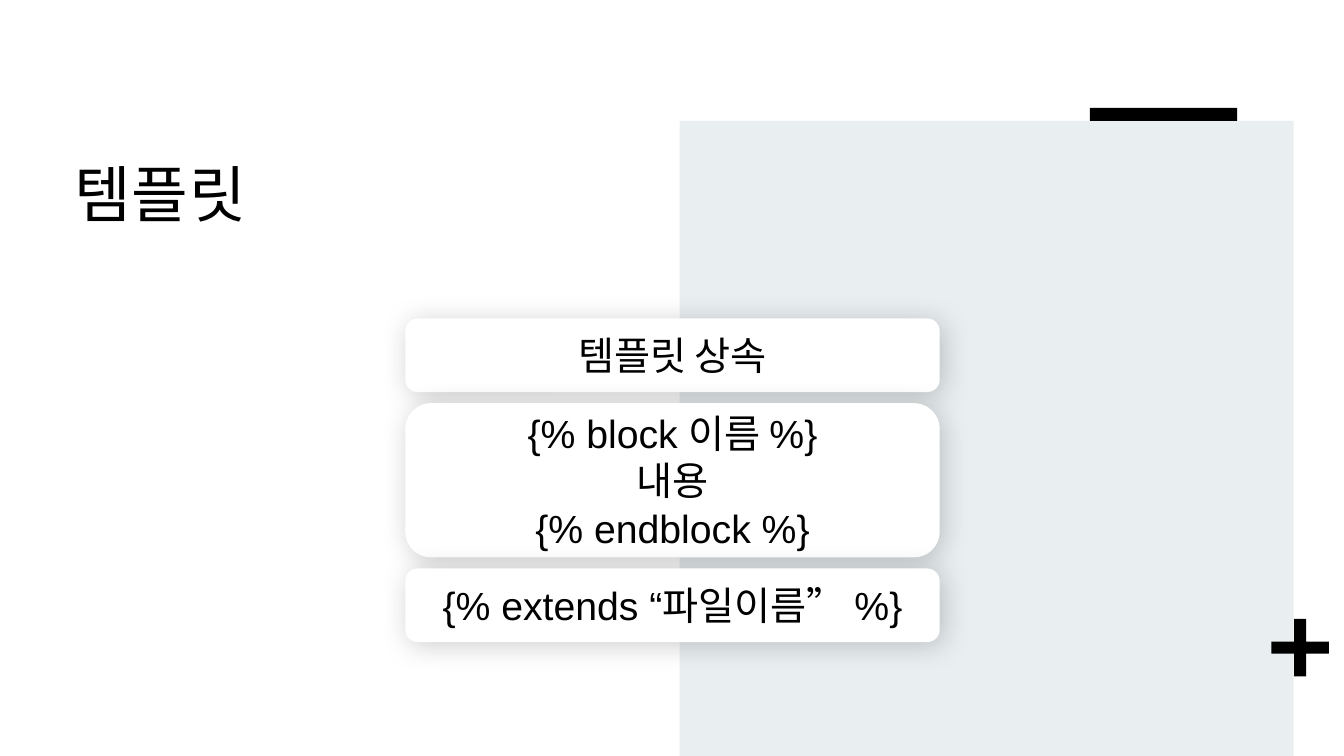
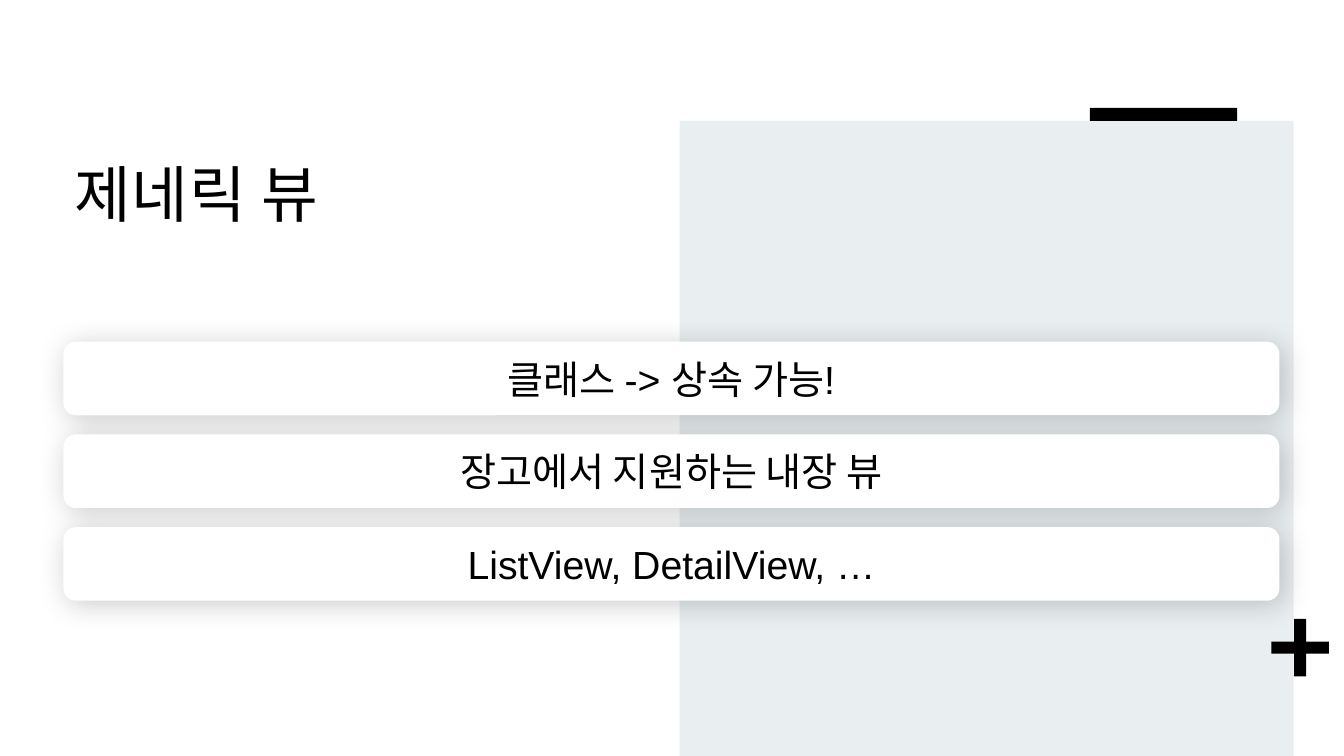
from lxml import etree
from pptx import Presentation
from pptx import util as u
from pptx.dml.color import RGBColor
from pptx.enum import shapes, text
from pptx.oxml import ns

BLACK = RGBColor(0x00, 0x00, 0x00)
WHITE = RGBColor(0xFF, 0xFF, 0xFF)
PALE = RGBColor(0xE9, 0xEF, 0xF1)
FONT = "Arial"
TITLE_ONLY = 5
ROW_HEIGHT = 0.73
BLOCK_HEIGHT = 1.53


def add_run(para, words, size):
    span = para.add_run()
    span.text = words
    span.font.name = FONT
    span.font.size = u.Pt(size)
    span.font.color.rgb = BLACK
    return span


def add_filled(page, kind, left, top, width, height, colour):
    box = page.shapes.add_shape(kind, *map(u.Inches, (left, top, width, height)))
    box.shadow.inherit = False
    box.fill.solid()
    box.fill.fore_color.rgb = colour
    box.line.fill.background()
    return box


def add_soft_shadow(box):
    effects = box._element.spPr.find(ns.qn("a:effectLst"))
    shadow = etree.SubElement(
        effects, ns.qn("a:outerShdw"), blurRad=str(u.Pt(20)), dist=str(u.Pt(3)),
        dir=str(45 * 60000), algn="tl", rotWithShape="0")
    colour = etree.SubElement(shadow, ns.qn("a:srgbClr"), val=str(BLACK))
    etree.SubElement(colour, ns.qn("a:alpha"), val="20000")


def decorate_layout(layout, page):
    kinds = shapes.MSO_SHAPE
    panel = add_filled(page, kinds.RECTANGLE, 6.74, 1.2, 6.09, 6.3, PALE)
    plus = add_filled(page, kinds.CROSS, 12.61, 6.14, 0.57, 0.57, BLACK)
    plus.adjustments[0] = 0.395
    bar = add_filled(page, kinds.RECTANGLE, 10.81, 1.07, 1.46, 0.13, BLACK)
    for index, part in enumerate((panel, plus, bar), start=2):
        layout.shapes._spTree.insert(index, part._element)


def set_title(page, words):
    title = page.shapes.title
    title.left, title.top = u.Inches(0.62), u.Inches(1.32)
    title.width, title.height = u.Inches(9.04), u.Inches(1.58)
    frame = title.text_frame
    frame.margin_left = frame.margin_top = frame.margin_right = u.Inches(0.12)
    frame.margin_bottom = u.Inches(0.1)
    frame.auto_size = text.MSO_AUTO_SIZE.NONE
    frame.vertical_anchor = text.MSO_ANCHOR.TOP
    para = frame.paragraphs[0]
    para.alignment = text.PP_ALIGN.LEFT
    para.line_spacing = 1.14
    span = add_run(para, words, 44)
    span.font._element.set("spc", "50")


def add_card(page, left, top, width, height, lines):
    box = add_filled(page, shapes.MSO_SHAPE.ROUNDED_RECTANGLE,
                     left, top, width, height, WHITE)
    add_soft_shadow(box)
    frame = box.text_frame
    frame.word_wrap = True
    frame.vertical_anchor = text.MSO_ANCHOR.MIDDLE
    for index, line in enumerate(lines):
        para = frame.add_paragraph() if index else frame.paragraphs[0]
        para.alignment = text.PP_ALIGN.CENTER
        add_run(para, line, 28)


def add_card_stack(page, left, top, width, gap, cards):
    for lines in cards:
        height = BLOCK_HEIGHT if len(lines) > 1 else ROW_HEIGHT
        add_card(page, left, top, width, height, lines)
        top += height + gap


def main():
    deck = Presentation()
    deck.slide_width, deck.slide_height = u.Inches(13.33), u.Inches(7.5)
    layout = deck.slide_layouts[TITLE_ONLY]

    template_page = deck.slides.add_slide(layout)
    decorate_layout(layout, template_page)
    set_title(template_page, "템플릿")
    add_card_stack(template_page, 4.02, 3.16, 5.3, 0.11, [
        ["템플릿 상속"],
        ["{% block 이름 %}", "내용", "{% endblock %}"],
        ["{% extends “파일이름” %}"],
    ])

    view_page = deck.slides.add_slide(layout)
    set_title(view_page, "제네릭 뷰")
    add_card_stack(view_page, 0.63, 3.39, 12.06, 0.19, [
        ["클래스 -> 상속 가능!"],
        ["장고에서 지원하는 내장 뷰"],
        ["ListView, DetailView, …"],
    ])

    deck.save("out.pptx")


if __name__ == "__main__":
    main()
